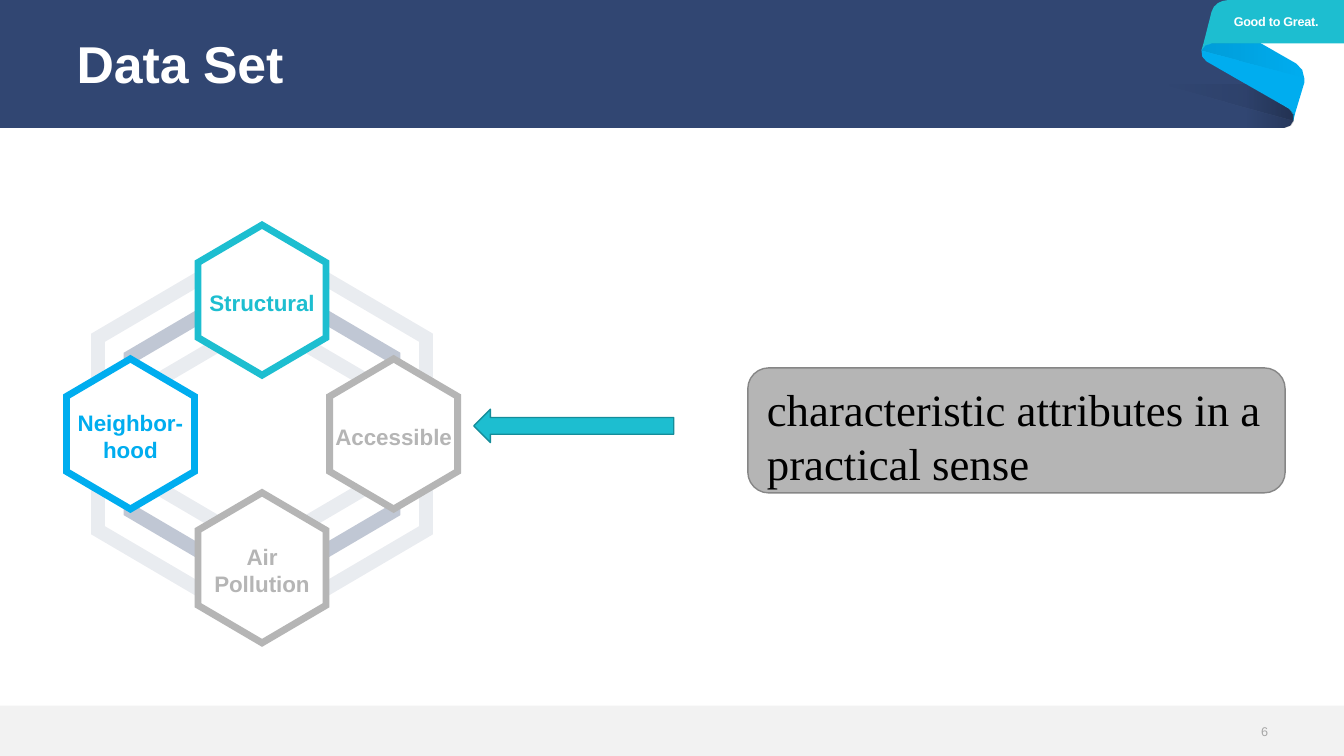
"""Build the "Data Set" slide with its ribbon header and hexagon cluster."""
from lxml.etree import SubElement
from pptx import Presentation
from pptx.dml.color import RGBColor
from pptx.enum.shapes import MSO_SHAPE
from pptx.enum.text import MSO_ANCHOR, PP_ALIGN
from pptx.oxml.ns import qn
from pptx.util import Pt

NAVY = RGBColor(0x31, 0x46, 0x72)
BLUE = RGBColor(0x00, 0xAD, 0xEF)
TEAL = RGBColor(0x1D, 0xBE, 0xD0)
DARK_TEAL = RGBColor(0x15, 0x8D, 0x9A)
GRAY = RGBColor(0xB5, 0xB5, 0xB5)
DARK_GRAY = RGBColor(0x86, 0x86, 0x86)
NUMBER_GRAY = RGBColor(0xA6, 0xA6, 0xA6)
FOOTER_GRAY = RGBColor(0xF2, 0xF2, 0xF2)
WHITE = RGBColor(0xFF, 0xFF, 0xFF)
BLACK = RGBColor(0x00, 0x00, 0x00)

TITLE = "Data Set"
MOTTO = "Good to Great."
PAGE = "6"
NOTE = "characteristic attributes in a practical sense"

FOLD = [(920.9, 77.8), (923.5, 81.5), (923.8, 86.4)]
FOOT = [(921.6, 89.8), (917.3, 91.4)]
HEADER = [(0, 0), (895, 0), (895, 51.8), *FOLD, *FOOT, (0, 91.4)]
RIBBON_BACK = [(861.8, 43.9), *FOLD, (925.2, 80.6), (931.7, 59), (931.7, 56.2),
               (930.2, 50), (925.9, 45.4), (895.7, 28.1), (865.4, 29.5),
               (861, 31.5), (858.2, 36), (858.8, 40.5)]
RIBBON_FRONT = [(858.2, 36), (860.8, 32.4), (865.4, 31), (960, 31), (960, 0),
                (877.7, 0), (873.4, 0.7), (869.8, 2.3), (867, 5), (865.4, 8.6),
                (859.7, 31)]
BANDS = [(HEADER, NAVY), (RIBBON_BACK, BLUE), (RIBBON_FRONT, TEAL)]
SHADES = [
    ([(890.6, 60.5), *FOLD, *FOOT, (890.6, 91.4)], 20, 180),
    ([(829.4, 60.5), (890.6, 60.5), *FOLD], 10, 180),
    ([(858.2, 36), (931.7, 55.4), (930.2, 49.5), (925.9, 45.4), (900, 31),
      (865.4, 31), (860.8, 32.4)], 10, 0),
]

CENTER_X, CENTER_Y = 187.2, 310
STEP_X, STEP_Y = 94, 95.6
HEX_RATIO = 0.852
RINGS = [(87.8, 10), (116, 30), (143.3, 10)]
RING_WIDTH = 11.6
HEX_RADIUS, HEX_WIDTH = 56.5, 5.7
LABEL_WIDTH, LABEL_HEIGHT = 88, 38.8
HEXAGONS = [
    ("Neighbor-hood", -1, 0, BLUE),
    ("Accessible", 1, 0, GRAY),
    ("Structural", 0, -1, TEAL),
    ("Air Pollution", 0, 1, GRAY),
]

prs = Presentation()
prs.slide_width, prs.slide_height = Pt(960), Pt(540)
s = prs.slides.add_slide(prs.slide_layouts[6])


def add_outline(*contours):
    first, *holes = [[(Pt(x), Pt(y)) for x, y in c] for c in contours]
    fb = s.shapes.build_freeform(*first[0], scale=1.0)
    fb.add_line_segments(first[1:])
    for hole in holes:
        fb.move_to(*hole[0])
        fb.add_line_segments(hole[1:])
    sp = fb.convert_to_shape()
    sp.shadow.inherit = False
    sp.line.fill.background()
    return sp


def paint(sp, color):
    sp.fill.solid()
    sp.fill.fore_color.rgb = color


def set_alphas(sp, *alphas):
    colors = sp.element.spPr.iter(qn("a:srgbClr"))
    for clr, alpha in zip(colors, alphas):
        SubElement(clr, qn("a:alpha")).set("val", str(alpha * 1000))


def hexagon(cx, cy, radius):
    w, half = radius * HEX_RATIO, radius / 2
    return [(cx, cy + radius), (cx - w, cy + half), (cx - w, cy - half),
            (cx, cy - radius), (cx + w, cy - half), (cx + w, cy + half)]


def add_ring(cx, cy, radius, width, color):
    sp = add_outline(hexagon(cx, cy, radius), hexagon(cx, cy, radius - width))
    paint(sp, color)
    return sp


def add_preset(kind, left, top, width, height, color, line=None):
    sp = s.shapes.add_shape(kind, Pt(left), Pt(top), Pt(width), Pt(height))
    sp.shadow.inherit = False
    paint(sp, color)
    if line is None:
        sp.line.fill.background()
    else:
        sp.line.color.rgb = line
        sp.line.width = Pt(1)


def add_text(text, box, size, color, align=PP_ALIGN.LEFT, bold=True,
             font="Arial", spacing=1.0, anchor=MSO_ANCHOR.MIDDLE, inset=(0, 0)):
    tf = s.shapes.add_textbox(*[Pt(v) for v in box]).text_frame
    tf.word_wrap = True
    tf.vertical_anchor = anchor
    tf.margin_left = tf.margin_right = Pt(inset[0])
    tf.margin_top = tf.margin_bottom = Pt(inset[1])
    tf.text = text
    p = tf.paragraphs[0]
    p.alignment, p.line_spacing = align, spacing
    r = p.runs[0]
    r.font.name, r.font.size, r.font.bold = font, Pt(size), bold
    r.font.color.rgb = color
    return r


for points, color in BANDS:
    paint(add_outline(points), color)
for points, alpha, angle in SHADES:
    sp = add_outline(points)
    sp.fill.gradient()
    sp.fill.gradient_angle = angle
    for stop in sp.fill.gradient_stops:
        stop.color.rgb = BLACK
    set_alphas(sp, alpha, 0)
add_preset(MSO_SHAPE.RECTANGLE, 0, 504, 960, 36, FOOTER_GRAY)

add_text(TITLE, (54.7, 4.3, 850.3, 86.4), 37, WHITE, spacing=0.9)
add_text(PAGE, (860.4, 513.4, 45.4, 18.7), 9, NUMBER_GRAY, PP_ALIGN.RIGHT, False)
motto = add_text(MOTTO, (863.3, 0, 96.5, 31), 9, WHITE, PP_ALIGN.CENTER)
motto.font._element.set("spc", "-20")

for radius, alpha in RINGS:
    set_alphas(add_ring(CENTER_X, CENTER_Y, radius, RING_WIDTH, NAVY), alpha)
for label, col, row, color in HEXAGONS:
    cx, cy = CENTER_X + col * STEP_X, CENTER_Y + row * STEP_Y
    paint(add_outline(hexagon(cx, cy, HEX_RADIUS - HEX_WIDTH / 2)), WHITE)
    add_ring(cx, cy, HEX_RADIUS, HEX_WIDTH, color)
    box = (cx - LABEL_WIDTH / 2, cy + 1.5 - LABEL_HEIGHT / 2, LABEL_WIDTH, LABEL_HEIGHT)
    add_text(label, box, 16, color, PP_ALIGN.CENTER)

add_preset(MSO_SHAPE.ROUNDED_RECTANGLE, 534.2, 262.8, 383.8, 89.3, GRAY, DARK_GRAY)
add_text(NOTE, (540.7, 269.3, 398.9, 85), 32, BLACK, bold=False,
         font="Times New Roman", anchor=MSO_ANCHOR.TOP, inset=(7.2, 3.6))
add_preset(MSO_SHAPE.LEFT_ARROW, 338.4, 292.3, 142.9, 23.8, TEAL, DARK_TEAL)

prs.save("out.pptx")
